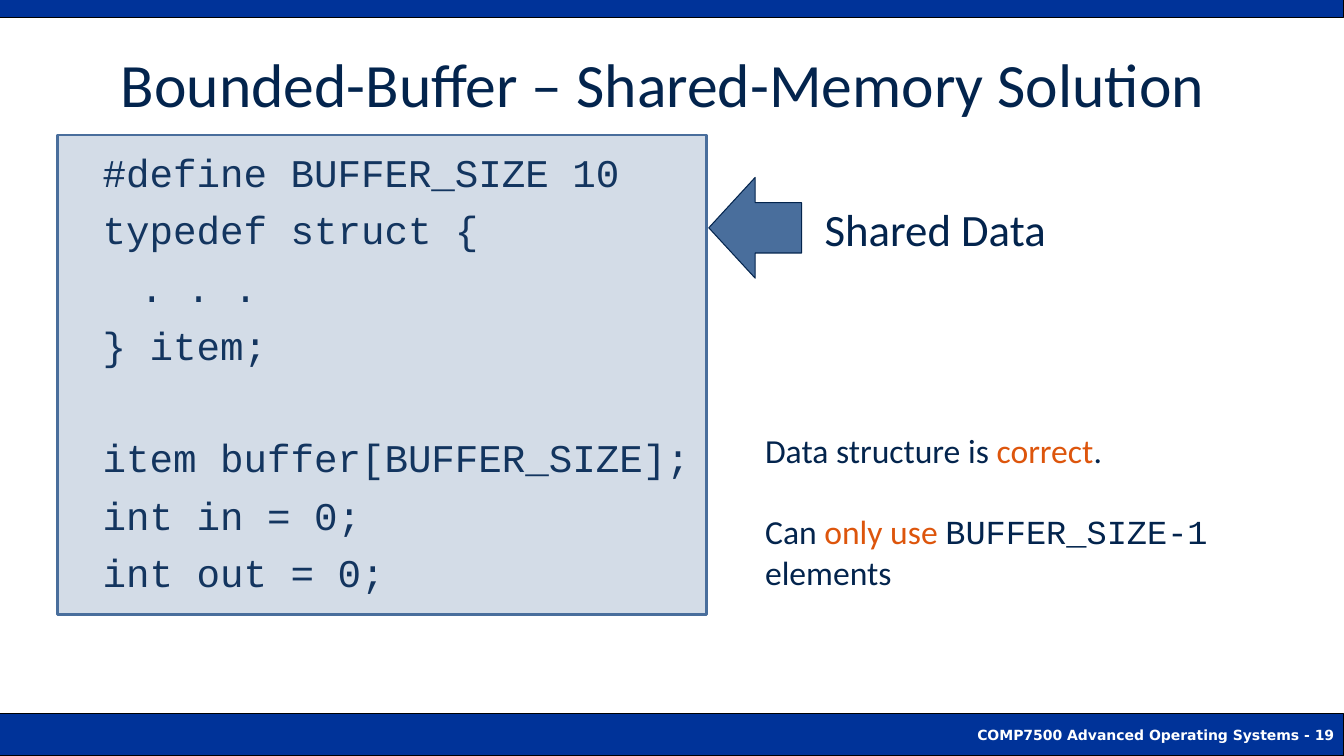
from dataclasses import dataclass

from lxml.etree import SubElement
from pptx import Presentation
from pptx.dml.color import RGBColor
from pptx.enum.shapes import MSO_SHAPE
from pptx.enum.text import MSO_ANCHOR, PP_ALIGN
from pptx.oxml.ns import qn
from pptx.util import Inches, Pt


@dataclass(frozen=True)
class Theme:
    navy: str = "03244D"
    orange: str = "DD550C"
    steel: str = "496E9C"
    band: str = "003399"
    white: str = "FFFFFF"
    black: str = "000000"
    sans: str = "Calibri"
    mono: str = "Courier New"
    foot: str = "DejaVu Sans"
    title: int = 44
    label: int = 32
    code: int = 28
    note: int = 24
    small: int = 10


THEME = Theme()


def put_text(frame, lines, size, font=THEME.sans, color=THEME.navy, bold=False,
             align=PP_ALIGN.LEFT, anchor=MSO_ANCHOR.TOP, wrap=True):
    frame.word_wrap = wrap
    frame.vertical_anchor = anchor
    for i, (runs, space, indent) in enumerate(lines):
        para = frame.paragraphs[0] if i == 0 else frame.add_paragraph()
        para.alignment = align
        para.space_before = Pt(space)
        if indent:
            para._p.get_or_add_pPr().set("marL", str(Inches(indent)))
        for text, style in runs:
            run = para.add_run()
            run.text = text
            run.font.size = Pt(size)
            run.font.bold = bold
            run.font.name = style.get("font", font)
            run.font.color.rgb = RGBColor.from_string(style.get("color", color))


def line(text, space=0, indent=0):
    return [(text, {})], space, indent


def add_box(slide, area, lines, size, **style):
    box = slide.shapes.add_textbox(*map(Inches, area))
    put_text(box.text_frame, lines, size, **style)


def add_block(slide, kind, area, fill, edge, width=0.75, alpha=None):
    block = slide.shapes.add_shape(kind, *map(Inches, area))
    block.shadow.inherit = False
    block.fill.solid()
    block.fill.fore_color.rgb = RGBColor.from_string(fill)
    block.line.color.rgb = RGBColor.from_string(edge)
    block.line.width = Pt(width)
    if alpha:
        color = block._element.spPr.find(qn("a:solidFill"))[0]
        SubElement(color, qn("a:alpha")).set("val", str(alpha * 1000))
    return block


def add_bands(slide):
    foot, _ = [
        add_block(slide, MSO_SHAPE.RECTANGLE, (0, top, 13.33, high),
                  THEME.band, THEME.black)
        for top, high in ((7.08, 0.42), (0, 0.17))
    ]
    put_text(foot.text_frame, [line("COMP7500 Advanced Operating Systems - 19")],
             THEME.small, font=THEME.foot, color=THEME.white, bold=True,
             align=PP_ALIGN.RIGHT, anchor=MSO_ANCHOR.MIDDLE)


def add_code(slide):
    gap = 7.5
    lines = [
        line("#define BUFFER_SIZE 10", gap),
        line("typedef struct {", gap),
        line(". . .", gap, 0.37),
        line("} item;", gap),
        line("item buffer[BUFFER_SIZE];", gap + 39.2),
        line("int in = 0;", gap),
        line("int out = 0;", gap),
    ]
    add_box(slide, (0.92, 1.42, 6.25, 5.14), lines, THEME.code, font=THEME.mono)


def add_notes(slide):
    accent = {"color": THEME.orange}
    lines = [
        ([("Data structure is ", {}), ("correct", accent), (".", {})], 0, 0),
        ([("Can ", {}), ("only use ", accent),
          ("BUFFER_SIZE-1", {"font": THEME.mono}), (" elements", {})], 29, 0),
    ]
    add_box(slide, (7.49, 4.22, 5.16, 1.72), lines, THEME.note)


def add_shared(slide):
    add_box(slide, (8.08, 1.95, 2.42, 0.64), [line("Shared Data")],
            THEME.label, wrap=False)
    add_block(slide, MSO_SHAPE.RECTANGLE, (0.57, 1.34, 6.44, 4.76),
              THEME.steel, THEME.steel, width=2, alpha=24)
    arrow = add_block(slide, MSO_SHAPE.RIGHT_ARROW, (7.03, 1.76, 0.92, 1),
                      THEME.steel, THEME.navy)
    arrow.rotation = 180


def main():
    deck = Presentation()
    deck.slide_width, deck.slide_height = Inches(13.33), Inches(7.5)
    slide = deck.slides.add_slide(deck.slide_layouts[6])
    add_bands(slide)
    add_box(slide, (0.58, 0.33, 12, 0.99),
            [line("Bounded-Buffer – Shared-Memory Solution")], THEME.title,
            align=PP_ALIGN.CENTER, anchor=MSO_ANCHOR.MIDDLE)
    add_code(slide)
    add_notes(slide)
    add_shared(slide)
    deck.save("out.pptx")


if __name__ == "__main__":
    main()
